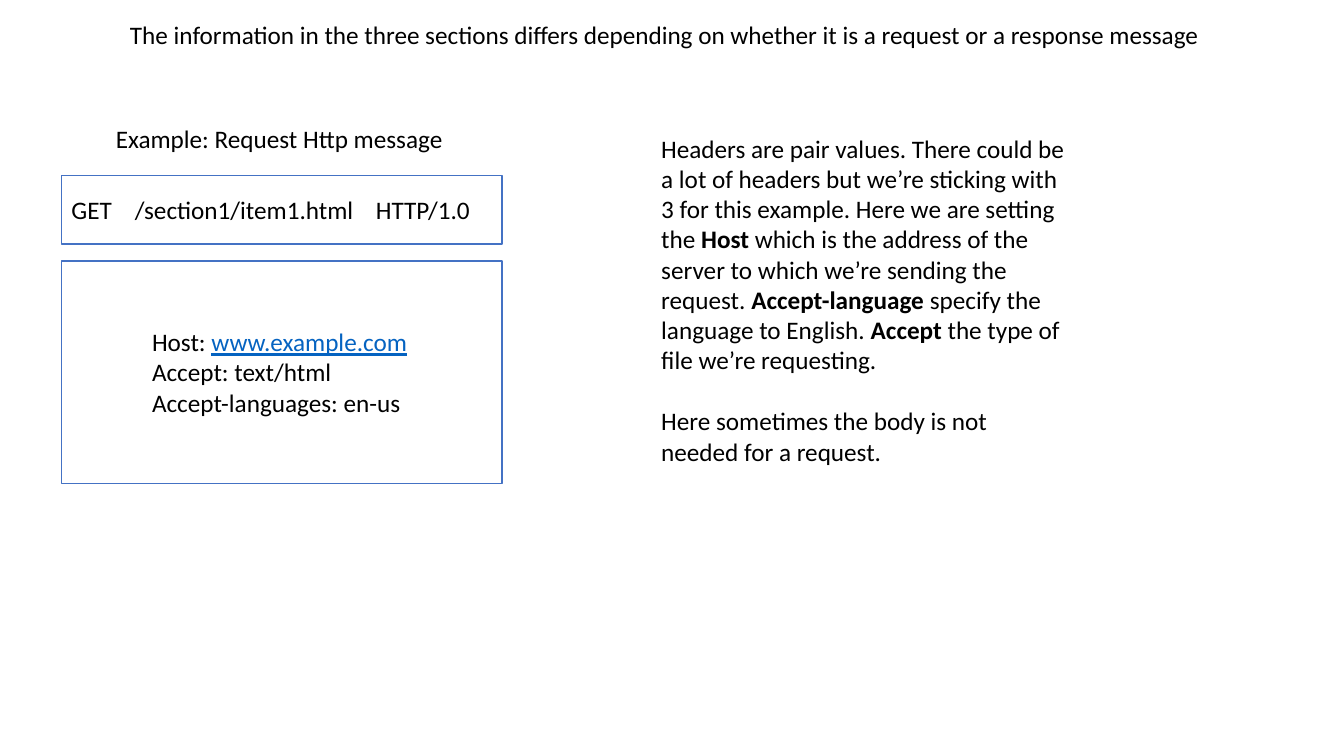
from lxml.etree import SubElement
from pptx import Presentation
from pptx.dml.color import RGBColor
from pptx.enum.shapes import MSO_SHAPE
from pptx.enum.text import MSO_AUTO_SIZE
from pptx.oxml.ns import qn
from pptx.util import Inches, Pt

BOLD = {"bold": True}
LINK = {"underline": True, "color": "0563C1"}


def paint(code):
    return RGBColor.from_string(code)


class Deck:
    """Holds the text style, the slide and the shapes now being added to."""

    base = {"name": "Calibri", "size": Pt(18), "color": "000000"}

    def __init__(self):
        self.show = Presentation()
        self.show.slide_width = Inches(13.33)
        self.show.slide_height = Inches(7.5)
        self.slide = self.show.slides.add_slide(self.show.slide_layouts[6])
        self.shapes = self.slide.shapes

    def group(self):
        """Send the elements that follow into a new group."""
        self.shapes = self.slide.shapes.add_group_shape().shapes

    def ungroup(self):
        """Send the elements that follow straight to the slide."""
        self.shapes = self.slide.shapes

    def frame(self, *area):
        """Add a white box with a blue outline."""
        box = self.shapes.add_shape(MSO_SHAPE.RECTANGLE, *map(Inches, area))
        box.shadow.inherit = False
        box.fill.solid()
        box.fill.fore_color.rgb = paint("FFFFFF")
        box.line.color.rgb = paint("4472C4")
        box.line.width = Pt(1)

    def text(self, area, lines, wrap=False, gap=0, tabs=()):
        """Add lines, each a list of (words, format) pairs."""
        box = self.shapes.add_textbox(*map(Inches, area))
        body = box.text_frame
        body.word_wrap = wrap
        body.auto_size = MSO_AUTO_SIZE.SHAPE_TO_FIT_TEXT
        for i, line in enumerate(lines):
            para = body.add_paragraph() if i else body.paragraphs[0]
            if i:
                para.space_before = Pt(gap)
            if tabs:
                self.stops(para, tabs)
            for words, form in line:
                run = para.add_run()
                run.text = words
                self.style(run.font, form)

    def style(self, font, form):
        for key, value in {**self.base, **form}.items():
            if key == "color":
                font.color.rgb = paint(value)
            else:
                setattr(font, key, value)

    def stops(self, para, tabs):
        """Set left tab stops, in inches from the text edge."""
        items = SubElement(para._p.get_or_add_pPr(), qn("a:tabLst"))
        for tab in tabs:
            SubElement(items, qn("a:tab"), pos=str(Inches(tab)), algn="l")


def main():
    deck = Deck()
    deck.text((1.19, 0.14, 10.95, 0.4), [[(
        "The information in the three sections differs depending on "
        "whether it is a request or a response message", {})]])

    deck.group()
    deck.frame(0.61, 1.74, 4.37, 0.68)
    deck.frame(0.61, 2.59, 4.37, 2.21)
    deck.text((0.61, 1.88, 4.2, 0.4),
              [[("GET\t/section1/item1.html\tHTTP/1.0", {})]],
              wrap=True, tabs=(0.63, 3.02))
    deck.text((1.41, 3.19, 2.76, 1.01), [
        [("Host: ", {}), ("www.example.com", LINK)],
        [("Accept: text/html", {})],
        [("Accept-languages: en-us", {})],
    ])
    deck.text((1.05, 1.17, 3.49, 0.4),
              [[("Example: Request Http message", {})]])

    deck.ungroup()
    deck.text((6.46, 1.27, 4.24, 3.43), [
        [("Headers are pair values. There could be a lot of headers but "
          "we’re sticking with 3 for this example. Here we are setting "
          "the ", {}),
         ("Host", BOLD),
         (" which is the address of the server to which we’re sending "
          "the request. ", {}),
         ("Accept-language", BOLD),
         (" specify the language to English. ", {}),
         ("Accept", BOLD),
         (" the type of file we’re requesting.", {})],
        [("Here sometimes the body is not needed for a request.", {})],
    ], wrap=True, gap=22)
    deck.show.save("out.pptx")


if __name__ == "__main__":
    main()
